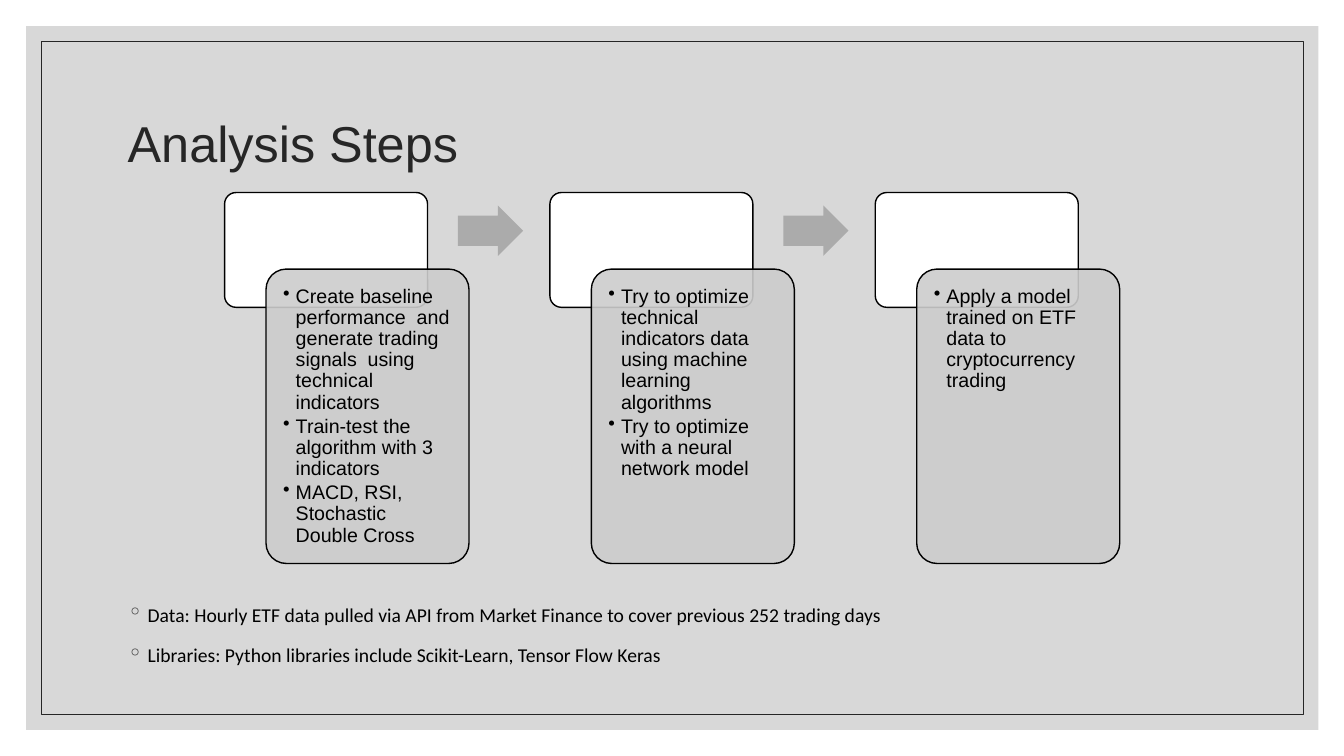
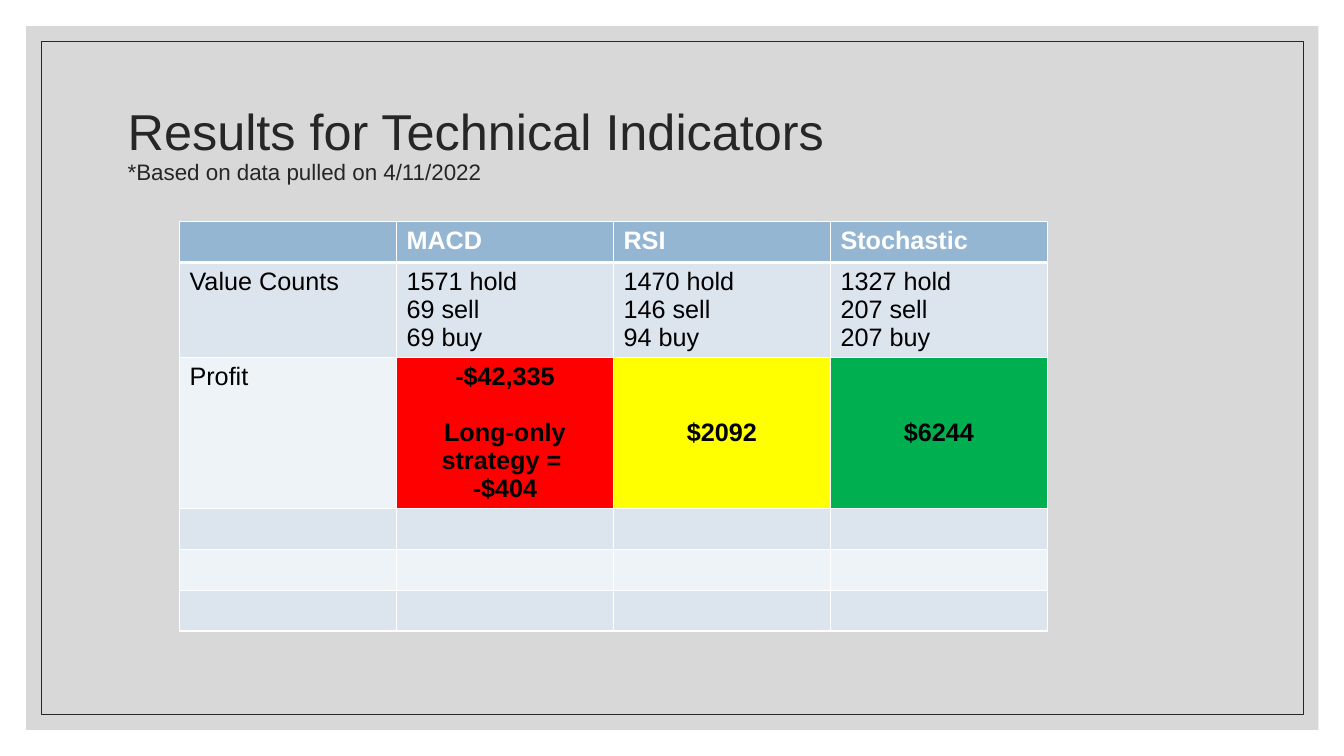
from dataclasses import dataclass

from lxml import etree
from pptx import Presentation
from pptx.dml.color import RGBColor
from pptx.enum.shapes import MSO_SHAPE
from pptx.enum.text import MSO_ANCHOR, MSO_AUTO_SIZE, PP_ALIGN
from pptx.oxml.ns import qn
from pptx.util import Pt

RECTANGLE = MSO_SHAPE.RECTANGLE
ROUNDED = MSO_SHAPE.ROUNDED_RECTANGLE
RIGHT_ARROW = MSO_SHAPE.RIGHT_ARROW
TOP, MIDDLE = MSO_ANCHOR.TOP, MSO_ANCHOR.MIDDLE
LEFT, CENTER = PP_ALIGN.LEFT, PP_ALIGN.CENTER
NO_AUTOFIT = MSO_AUTO_SIZE.NONE


@dataclass(frozen=True)
class Theme:
    heading_font: str = "Arial"
    note_font: str = "Calibri"
    title_size: int = 36
    subtitle_size: int = 16
    body_size: int = 14
    table_size: int = 18
    ink: str = "262626"
    black: str = "000000"
    white: str = "FFFFFF"
    panel: str = "BFBFBF"
    card: str = "CCCCCC"
    arrow: str = "ABABAB"
    header: str = "94B6D2"
    band_dark: str = "DCE5EE"
    band_light: str = "EEF3F7"
    loss: str = "FF0000"
    small_gain: str = "FFFF00"
    gain: str = "00B050"


theme = Theme()


def add_box(slide, kind, left, top, width, height, fill=None, line=None, line_width=1, alpha=100):
    """Add a preset shape; alpha is the opacity of its fill in percent."""
    shape = slide.shapes.add_shape(kind, Pt(left), Pt(top), Pt(width), Pt(height))
    shape.shadow.inherit = False
    if fill:
        shape.fill.solid()
        shape.fill.fore_color.rgb = RGBColor.from_string(fill)
        if alpha < 100:
            color = shape.element.spPr.find(qn("a:solidFill"))[0]
            etree.SubElement(color, qn("a:alpha")).set("val", str(alpha * 1000))
    else:
        shape.fill.background()
    if line:
        shape.line.color.rgb = RGBColor.from_string(line)
        shape.line.width = Pt(line_width)
    else:
        shape.line.fill.background()
    return shape


def write_bullets(frame, lines, bullet, indent, font, spacing, before, after, bullet_color):
    """Fill a text frame with hanging bullets, one paragraph a line."""
    frame.word_wrap = True
    frame.vertical_anchor = TOP
    for index, line in enumerate(lines):
        paragraph = frame.paragraphs[0] if index == 0 else frame.add_paragraph()
        paragraph.text = line
        paragraph.alignment = LEFT
        paragraph.line_spacing = spacing
        paragraph.space_before = Pt(before)
        paragraph.space_after = Pt(after)
        paragraph.font.name = font
        paragraph.font.size = Pt(theme.body_size)
        paragraph.font.color.rgb = RGBColor.from_string(theme.black)
        properties = paragraph._p.get_or_add_pPr()
        properties.set("marL", str(Pt(indent)))
        properties.set("indent", str(-Pt(indent)))
        marker_color = etree.Element(qn("a:buClr"))
        etree.SubElement(marker_color, qn("a:srgbClr")).set("val", bullet_color)
        marker = etree.Element(qn("a:buChar"))
        marker.set("char", bullet)
        defaults = properties.find(qn("a:defRPr"))
        defaults.addprevious(marker_color)
        defaults.addprevious(marker)


presentation = Presentation()
presentation.slide_width, presentation.slide_height = Pt(960), Pt(540)
layout = presentation.slide_layouts[5]

# Slides with their titles
titles = [
    ("Analysis Steps", None),
    ("Results for Technical Indicators", "*Based on data pulled on 4/11/2022"),
]
slides = []
for heading, subtitle in titles:
    slide = presentation.slides.add_slide(layout)
    slides.append(slide)
    title = slide.shapes.title
    title.left, title.top, title.width, title.height = Pt(84), Pt(50.4), Pt(792), Pt(108)
    frame = title.text_frame
    frame.auto_size = NO_AUTOFIT
    frame.word_wrap = True
    frame.vertical_anchor = MIDDLE
    paragraph = frame.paragraphs[0]
    paragraph.alignment = LEFT
    paragraph.line_spacing = 0.9
    paragraph.font.name = theme.heading_font
    paragraph.font.size = Pt(theme.title_size)
    paragraph.font.color.rgb = RGBColor.from_string(theme.ink)
    paragraph.add_run().text = heading
    if subtitle:
        paragraph.add_line_break()
        run = paragraph.add_run()
        run.text = subtitle
        run.font.size = Pt(theme.subtitle_size)

steps_slide, results_slide = slides

# Shared panel and frame, moved into the layout behind everything
panel = add_box(steps_slide, RECTANGLE, 18.7, 18.7, 923, 502.7, theme.panel, alpha=60)
border = add_box(steps_slide, RECTANGLE, 29.5, 29.5, 901.4, 481, line=theme.ink, line_width=0.5)
for position, shape in enumerate((panel, border), start=2):
    layout.shapes.element.insert(position, shape.element)

# Slide 1: data and library notes
notes_box = steps_slide.shapes.add_textbox(Pt(84), Pt(423.4), Pt(792), Pt(96))
write_bullets(
    notes_box.text_frame,
    [
        "Data: Hourly ETF data pulled via API from Market Finance to cover previous 252 trading days",
        "Libraries: Python libraries include Scikit-Learn, Tensor Flow Keras",
    ],
    "◦", 14.4, theme.note_font, 1.2, 9, 0, theme.ink,
)

# Slide 1: three steps joined by block arrows
steps = [
    [
        "Create baseline performance  and generate trading signals  using technical indicators",
        "Train-test the algorithm with 3 indicators",
        "MACD, RSI, Stochastic Double Cross",
    ],
    [
        "Try to optimize technical indicators data using machine learning algorithms",
        "Try to optimize with a neural network model",
    ],
    ["Apply a model trained on ETF data to cryptocurrency trading"],
]
step_left, step_pitch, step_width = 160.4, 232.4, 145
for index, lines in enumerate(steps):
    left = step_left + index * step_pitch
    tab = add_box(steps_slide, ROUNDED, left, 137.5, step_width, 82, theme.white, theme.black)
    card = add_box(steps_slide, ROUNDED, left + 29.6, 192.2, step_width, 210.3,
                   theme.card, theme.black, alpha=90)
    tab.adjustments[0] = card.adjustments[0] = 0.1
    frame = card.text_frame
    frame.margin_left = frame.margin_right = frame.margin_top = frame.margin_bottom = Pt(8)
    write_bullets(frame, lines, "•", 9, theme.heading_font, 0.9, 0, 2.1, theme.black)
    if index < len(steps) - 1:
        arrow = add_box(steps_slide, RIGHT_ARROW, left + 166.7, 146.8, 46.6, 36, theme.arrow)
        arrow.adjustments[0], arrow.adjustments[1] = 0.6, 0.5

# Slide 2: results table
rows = [
    ["", "MACD", "RSI", "Stochastic"],
    ["Value Counts", "1571 hold\n69 sell\n69 buy", "1470 hold\n146 sell\n94 buy",
     "1327 hold\n207 sell\n207 buy"],
    ["Profit", "-$42,335\nLong-only strategy = \n-$404", "$2092", "$6244"],
    [""] * 4,
    [""] * 4,
    [""] * 4,
]
row_heights = [29.2, 67.5, 107.5, 29.2, 29.2, 29.2]
profit_row, profit_fills = 2, [theme.band_light, theme.loss, theme.small_gain, theme.gain]
column_width = 155
table = results_slide.shapes.add_table(
    len(rows), 4, Pt(128.2), Pt(158.4), Pt(4 * column_width), Pt(sum(row_heights))
).table
table.horz_banding = False
for column in table.columns:
    column.width = Pt(column_width)

for row_index, texts in enumerate(rows):
    table.rows[row_index].height = Pt(row_heights[row_index])
    is_header = row_index == 0
    for column_index, text in enumerate(texts):
        cell = table.cell(row_index, column_index)
        is_profit = row_index == profit_row and column_index > 0

        # Text
        cell.text = text
        cell.vertical_anchor = MIDDLE if is_profit and column_index > 1 else TOP
        for paragraph in cell.text_frame.paragraphs:
            paragraph.alignment = CENTER if is_profit else LEFT
            paragraph.font.name = theme.heading_font
            paragraph.font.size = Pt(theme.table_size)
            paragraph.font.bold = is_header or is_profit
            paragraph.font.color.rgb = RGBColor.from_string(theme.white if is_header else theme.black)

        # White borders, heavier under the header
        properties = cell._tc.get_or_add_tcPr()
        for side in ("L", "R", "T", "B"):
            heavy = (row_index, side) in ((0, "B"), (1, "T"))
            edge = etree.SubElement(properties, qn(f"a:ln{side}"))
            edge.set("w", str(Pt(3 if heavy else 1)))
            edge_fill = etree.SubElement(edge, qn("a:solidFill"))
            etree.SubElement(edge_fill, qn("a:srgbClr")).set("val", theme.white)

        # Fill
        if is_header:
            fill = theme.header
        elif row_index == profit_row:
            fill = profit_fills[column_index]
        else:
            fill = theme.band_dark if row_index % 2 else theme.band_light
        cell.fill.solid()
        cell.fill.fore_color.rgb = RGBColor.from_string(fill)

# Gap between the loss and the strategy it is compared with
table.cell(profit_row, 1).text_frame.paragraphs[1].space_before = Pt(20)

presentation.save("out.pptx")
